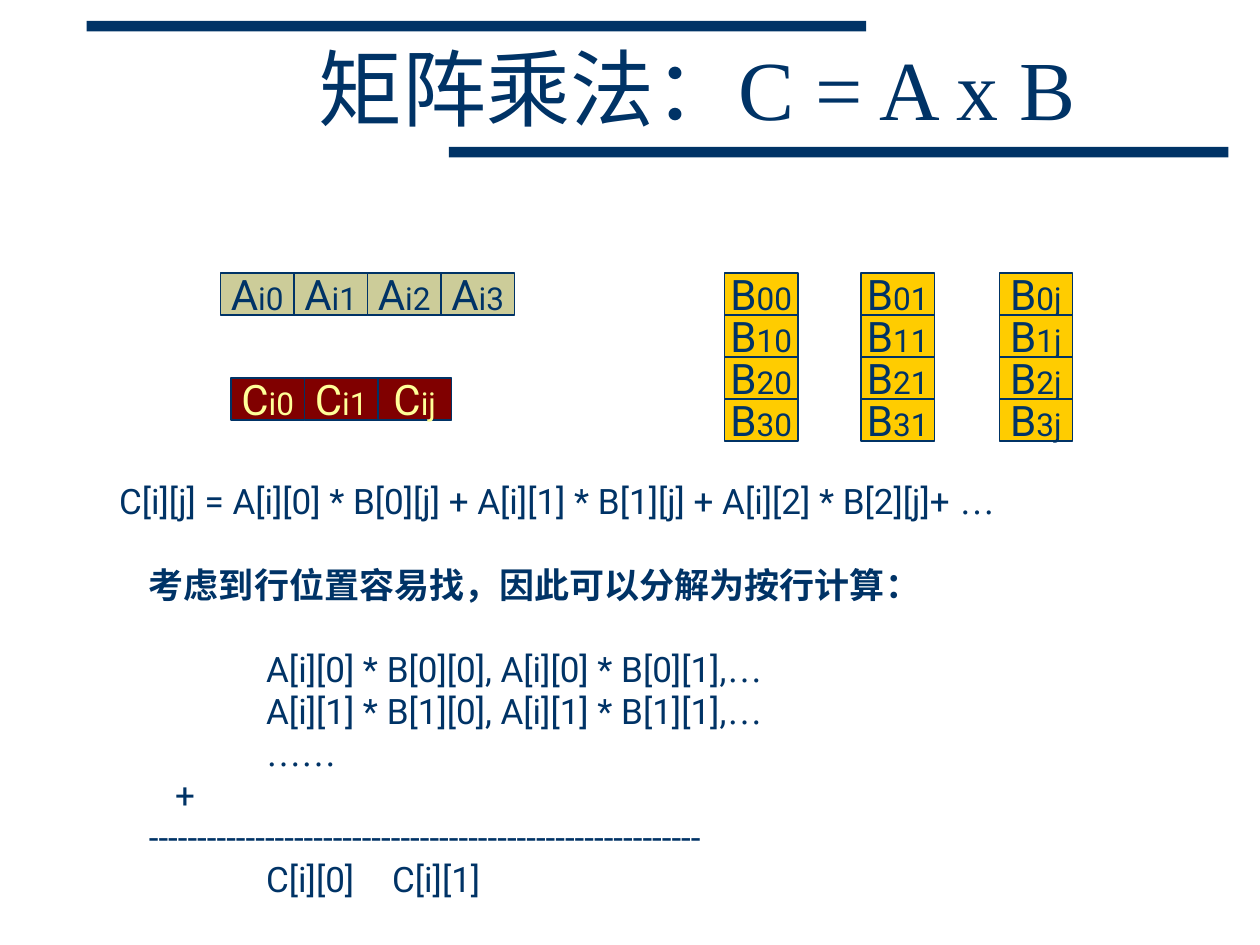
import pptx
import pptx.util
import pptx.dml.color
import pptx.enum.shapes
import pptx.enum.text
import lxml.etree

Pt = pptx.util.Pt
RGBColor = pptx.dml.color.RGBColor
RECTANGLE = pptx.enum.shapes.MSO_SHAPE.RECTANGLE
MIDDLE = pptx.enum.text.MSO_ANCHOR.MIDDLE
CENTER = pptx.enum.text.PP_ALIGN.CENTER

NAVY = RGBColor(0x00, 0x33, 0x66)
KHAKI = RGBColor(0xCC, 0xCC, 0x99)
GOLD = RGBColor(0xFF, 0xCC, 0x00)
MAROON = RGBColor(0x80, 0x00, 0x00)
CREAM = RGBColor(0xFF, 0xFF, 0x99)
SANS, SERIF = "Roboto", "Times New Roman"

# Content
TITLE = "矩阵乘法：C = A x B"
BARS = [(49.5, 12), (256.5, 84)]
# letter, indices, left, top, across, fill, text colour
MATRICES = [
    ("A", ["i0", "i1", "i2", "i3"], 126, 156, True, KHAKI, NAVY),
    ("C", ["i0", "i1", "ij"], 132, 216, True, MAROON, CREAM),
    ("B", ["00", "10", "20", "30"], 414, 156, False, GOLD, NAVY),
    ("B", ["01", "11", "21", "31"], 492, 156, False, GOLD, NAVY),
    ("B", ["0j", "1j", "2j", "3j"], 571, 156, False, GOLD, NAVY),
]
FORMULA = [("C[i][j] = A[i][0] * B[0][j] + A[i][1] * B[1][j] + A[i][2] * B[2][j]+ ", SANS),
           ("…", SERIF)]
# indent, space after, bold, runs
ROW_STEPS = [
    (5, 24, True, [("考虑到行位置容易找，因此可以分解为按行计算：", SANS)]),
    (72, 0, False, [("A[i][0] * B[0][0], A[i][0] * B[0][1],", SANS), ("…", SERIF)]),
    (72, 0, False, [("A[i][1] * B[1][0], A[i][1] * B[1][1],", SANS), ("…", SERIF)]),
    (72, 0, False, [("……", SERIF)]),
    (20, 0, False, [("+", SANS)]),
    (5, 0, False, [("-" * 57, SANS)]),
    (72, 0, False, [("C[i][0]\tC[i][1]", SANS)]),
]
SECOND_SUM_TAB = 206
CELL_WIDTH, CELL_HEIGHT = 42, 24

deck = pptx.Presentation()
deck.slide_width, deck.slide_height = Pt(720), Pt(540)
page = deck.slides.add_slide(deck.slide_layouts[6])


def add_run(para, text, font, size, color, bold=False):
    span = para.add_run()
    span.text = text
    span.font.name = font
    span.font.size = Pt(size)
    span.font.bold = bold
    span.font.color.rgb = color


def add_text_box(left, top, width, height):
    box = page.shapes.add_textbox(Pt(left), Pt(top), Pt(width), Pt(height))
    box.text_frame.word_wrap = True
    return box.text_frame


def add_rectangle(shapes, left, top, width, height, fill):
    box = shapes.add_shape(RECTANGLE, Pt(left), Pt(top), Pt(width), Pt(height))
    box.shadow.inherit = False
    box.fill.solid()
    box.fill.fore_color.rgb = fill
    box.line.fill.background()
    return box


# Title between two bars
for left, top in BARS:
    add_rectangle(page.shapes, left, top, 445.5, 6, NAVY)
frame = add_text_box(108, 18, 581, 72)
frame.vertical_anchor = MIDDLE
para = frame.paragraphs[0]
para.alignment = CENTER
para.line_spacing = 0.85
add_run(para, TITLE, SERIF, 48, NAVY)

# Matrix rows and columns
for letter, indices, left, top, across, fill, color in MATRICES:
    group = page.shapes.add_group_shape()
    for step, index in enumerate(indices):
        x = left + step * CELL_WIDTH * across
        y = top + step * CELL_HEIGHT * (not across)
        cell = add_rectangle(group.shapes, x, y, CELL_WIDTH, CELL_HEIGHT, fill)
        cell.line.color.rgb = NAVY
        cell.line.width = Pt(0.75)
        cell.text_frame.word_wrap = False
        cell.text_frame.vertical_anchor = MIDDLE
        para = cell.text_frame.paragraphs[0]
        para.alignment = CENTER
        add_run(para, letter, SANS, 24, color)
        add_run(para, index, SANS, 18, color)

# Formula for one element
para = add_text_box(61, 270.5, 621, 31.5).paragraphs[0]
for text, font in FORMULA:
    add_run(para, text, font, 20, NAVY)

# Calculation by rows
frame = add_text_box(73, 318.5, 594, 199.5)
for number, (indent, after, bold, runs) in enumerate(ROW_STEPS):
    para = frame.add_paragraph() if number else frame.paragraphs[0]
    para.space_after = Pt(after)
    properties = para._p.get_or_add_pPr()
    properties.set("marL", str(Pt(indent)))
    properties.set("indent", "0")
    for text, font in runs:
        add_run(para, text, font, 20, NAVY, bold)

# Tab stop for the second sum, on the last line
namespace = "{http://schemas.openxmlformats.org/drawingml/2006/main}"
tabs = lxml.etree.SubElement(properties, namespace + "tabLst")
lxml.etree.SubElement(tabs, namespace + "tab", pos=str(Pt(SECOND_SUM_TAB)), algn="l")

deck.save("out.pptx")
